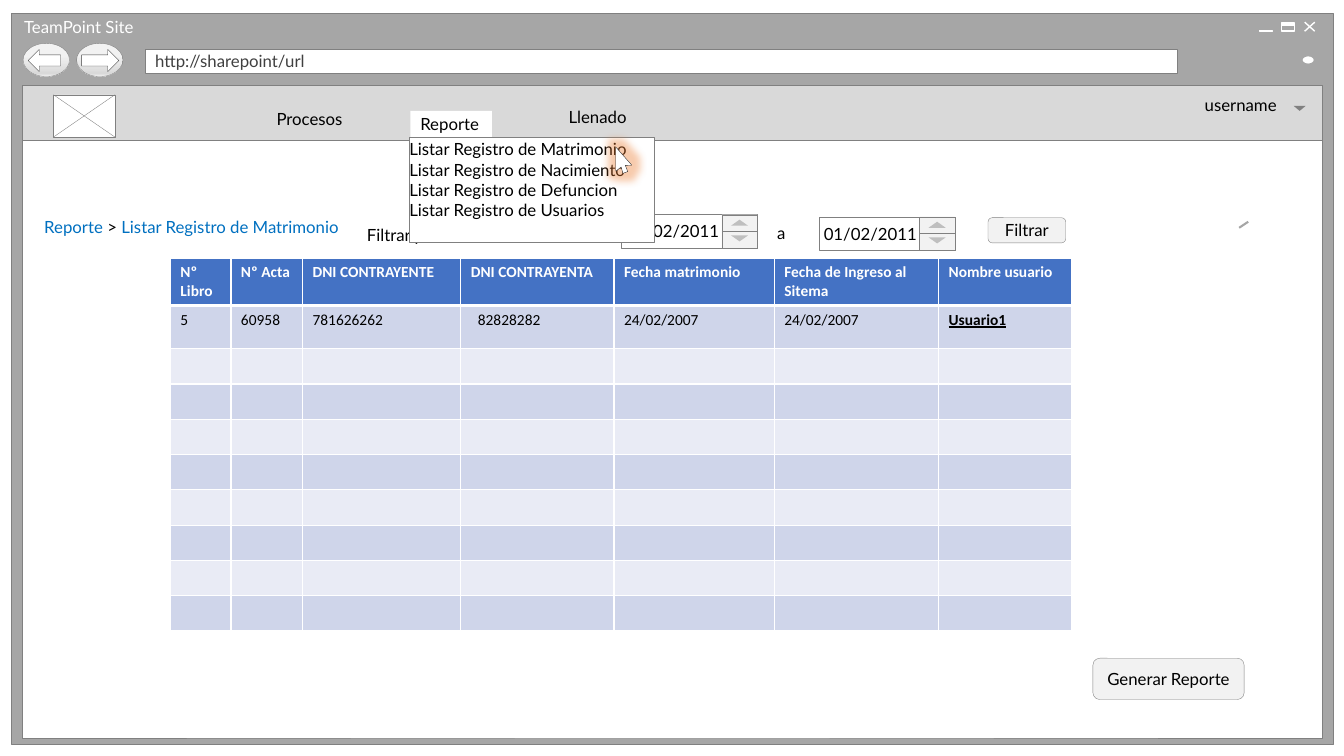
from dataclasses import dataclass

from lxml import etree
from pptx import Presentation
from pptx.dml.color import RGBColor
from pptx.enum.shapes import MSO_CONNECTOR, MSO_SHAPE
from pptx.enum.text import MSO_ANCHOR, PP_ALIGN
from pptx.oxml.ns import qn
from pptx.util import Inches, Pt

RECT, ROUNDED, OVAL = MSO_SHAPE.RECTANGLE, MSO_SHAPE.ROUNDED_RECTANGLE, MSO_SHAPE.OVAL
TRIANGLE = MSO_SHAPE.ISOSCELES_TRIANGLE
LEFT_ARROW, RIGHT_ARROW = MSO_SHAPE.LEFT_ARROW, MSO_SHAPE.RIGHT_ARROW
STRAIGHT = MSO_CONNECTOR.STRAIGHT
TOP, MIDDLE = MSO_ANCHOR.TOP, MSO_ANCHOR.MIDDLE
LEFT, CENTER = PP_ALIGN.LEFT, PP_ALIGN.CENTER
LABEL_INSETS = (1, 0.2, 1, 0.3)
FIELD_INSETS = (0.5, 0.5, 2, 0.5)
BUTTON_INSETS = (1, 0, 1, 0.1)
MENU_INSETS = (0, 0.2, 0.5, 0.5)


@dataclass(frozen=True)
class Theme:
    font: str = "Lato"
    table_font: str = "Calibri"
    size: float = 12
    table_size: float = 11
    hairline: float = 0.25
    ink: str = "000000"
    white: str = "FFFFFF"
    frame: str = "A6A6A6"
    edge: str = "808080"
    dark_edge: str = "404040"
    cursor_edge: str = "262626"
    bar: str = "D9D9D9"
    control: str = "F2F2F2"
    spinner: str = "BFBFBF"
    caption: str = "919191"
    link: str = "0070C0"
    glow: str = "ED7D31"
    header: str = "4472C4"
    bands: tuple = ("CFD5EA", "E9EBF5")


def color(value):
    return RGBColor.from_string(value)


def grid(units):
    """Ten grid columns or rows to the inch."""
    return Inches(units / 10)


def add_color(parent, value, alpha=100):
    node = etree.SubElement(parent, qn("a:srgbClr"), val=value)
    if alpha < 100:
        etree.SubElement(node, qn("a:alpha"), val=str(alpha * 1000))


class Mockup:
    def __init__(self, slide, theme):
        self.slide, self.theme = slide, theme

    def paint(self, shape, fill, line, weight):
        shape.shadow.inherit = False
        if fill:
            shape.fill.solid()
            shape.fill.fore_color.rgb = color(fill)
        else:
            shape.fill.background()
        if line:
            shape.line.color.rgb = color(line)
            shape.line.width = Pt(weight)
        else:
            shape.line.fill.background()

    def shape(self, kind, at, fill=None, line=None, weight=None, rotation=0):
        shape = self.slide.shapes.add_shape(kind, *map(grid, at))
        self.paint(shape, fill, line, weight or self.theme.hairline)
        shape.rotation = rotation
        return shape

    def add_text(self, box, paragraphs, insets=LABEL_INSETS, anchor=MIDDLE, align=LEFT):
        """Each paragraph is a list of (text, colour) runs."""
        frame = box.text_frame
        frame.word_wrap, frame.vertical_anchor = True, anchor
        (frame.margin_left, frame.margin_top,
         frame.margin_right, frame.margin_bottom) = map(grid, insets)
        for index, spans in enumerate(paragraphs):
            para = frame.add_paragraph() if index else frame.paragraphs[0]
            para.alignment = align
            for text, ink in spans:
                self.span(para, text, ink, self.theme.font, self.theme.size)

    def span(self, para, text, ink, font, size):
        span = para.add_run()
        span.text = text
        span.font.name, span.font.size = font, Pt(size)
        span.font.color.rgb = color(ink)
        return span

    def label(self, at, *spans, **layout):
        box = self.slide.shapes.add_textbox(*map(grid, at))
        self.add_text(box, [spans], **layout)

    def line(self, start, end, ink, weight):
        line = self.slide.shapes.add_connector(STRAIGHT, *map(grid, start + end))
        line.line.color.rgb, line.line.width = color(ink), Pt(weight)
        etree.SubElement(line.element.spPr, qn("a:effectLst"))

    def cross(self, left, top, width, height, ink, weight):
        right, bottom = left + width, top + height
        self.line((left, top), (right, bottom), ink, weight)
        self.line((left, bottom), (right, top), ink, weight)

    def round_button(self, left, arrow, arrow_at):
        theme = self.theme
        button = self.shape(OVAL, (left, 4.3, 4.6, 3.3), theme.bar, theme.edge)
        button.fill.gradient()
        button.fill.gradient_angle = 270
        stops = button.element.spPr.find(".//" + qn("a:gsLst"))
        for stop in list(stops):
            stops.remove(stop)
        for share, ink in ((36, theme.control), (91, theme.bar), (100, theme.control)):
            add_color(etree.SubElement(stops, qn("a:gs"), pos=str(share * 1000)), ink)
        self.shape(arrow, arrow_at, theme.white, theme.dark_edge)

    def button(self, at, text):
        box = self.shape(ROUNDED, at, self.theme.control, self.theme.edge)
        self.add_text(box, [[(text, self.theme.ink)]], BUTTON_INSETS, align=CENTER)

    def date_field(self, left, top, date):
        theme = self.theme
        box = self.shape(RECT, (left, top, 13.5, 3.3), theme.white, theme.edge)
        self.add_text(box, [[(date, theme.ink)]], FIELD_INSETS)
        for drop, tip, rotation in ((1.65, 0.4, 180), (0, 0.5, 0)):
            self.shape(RECT, (left + 10, top + drop, 3.5, 1.65), theme.control, theme.edge)
            self.shape(TRIANGLE, (left + 10.9, top + drop + tip, 1.7, 0.6),
                       theme.spinner, rotation=rotation)

    def cursor(self, left, top):
        outline = [(0.85, 0), (0, 2.25), (0.65, 2.05), (0.6, 2.7),
                   (1.1, 2.7), (1.1, 2.05), (1.7, 2.25)]
        points = [(grid(left + x), grid(top + y)) for x, y in outline]
        builder = self.slide.shapes.build_freeform(*points[0])
        builder.add_line_segments(points[1:])
        pointer = builder.convert_to_shape()
        self.paint(pointer, self.theme.white, self.theme.cursor_edge, self.theme.hairline)
        pointer.rotation = 339.3
        effects = pointer.element.spPr.find(qn("a:effectLst"))
        glow = etree.SubElement(effects, qn("a:glow"), rad=str(Pt(11)))
        add_color(glow, self.theme.glow, 40)

    def table(self, at, widths, heights, rows):
        theme = self.theme
        table = self.slide.shapes.add_table(len(heights), len(widths), *map(grid, at)).table
        for column, width in zip(table.columns, widths):
            column.width = grid(width)
        for index, (row, height) in enumerate(zip(table.rows, heights)):
            row.height = grid(height)
            texts = rows[index] if index < len(rows) else [""] * len(widths)
            for cell, text in zip(row.cells, texts):
                for side in "LRTB":
                    weight = 3 if index == 0 and side == "B" else 1
                    border = etree.SubElement(cell._tc.get_or_add_tcPr(), qn("a:ln" + side),
                                              w=str(Pt(weight)))
                    add_color(etree.SubElement(border, qn("a:solidFill")), theme.white)
                cell.fill.solid()
                cell.fill.fore_color.rgb = color(theme.bands[(index - 1) % 2] if index
                                                 else theme.header)
                para = cell.text_frame.paragraphs[0]
                if text:
                    span = self.span(para, text, theme.ink if index else theme.white,
                                     theme.table_font, theme.table_size)
                    span.font.bold = index == 0
                else:
                    etree.SubElement(para._p, qn("a:endParaRPr"),
                                     sz=str(int(theme.table_size * 100)))
        return table


def main():
    deck = Presentation()
    deck.slide_width, deck.slide_height = Inches(13.33), Inches(7.5)
    theme = Theme()
    page = Mockup(deck.slides.add_slide(deck.slide_layouts[6]), theme)

    # Browser window
    page.shape(RECT, (1.1, 1.3, 131.1, 72.5), theme.frame, theme.edge)
    page.label((1.4, 1.5, 17.2, 2.4), ("TeamPoint Site", theme.white))
    address = page.shape(RECT, (14.4, 4.9, 102.4, 2.4), theme.white, theme.edge)
    page.add_text(address, [[("http://sharepoint/url", theme.dark_edge)]])
    page.round_button(2.3, LEFT_ARROW, (2.8, 4.9, 3.2, 2.2))
    page.round_button(7.6, RIGHT_ARROW, (8.1, 4.9, 3.7, 2.2))
    page.cross(129.4, 2.2, 1, 0.9, theme.white, 1)
    for left, top in ((127.1, 2.4), (124.9, 3)):
        page.shape(RECT, (left, top, 1.3, 0.1), theme.caption, theme.white)
    page.shape(RECT, (127.1, 2.3, 1.3, 0.8), line=theme.white, weight=1)
    page.shape(RECT, (2.2, 9, 128.9, 64.2), theme.white, theme.edge)
    page.shape(OVAL, (129.1, 5.5, 1.3, 0.9), theme.white, theme.frame, 1.25)

    # Navigation bar
    page.shape(RECT, (2.2, 8.5, 128.9, 5.4), theme.bar, theme.edge)
    page.label((24.5, 10.6, 12.9, 2.7), ("Procesos", theme.ink),
               insets=MENU_INSETS, anchor=TOP, align=CENTER)
    report_tab = page.shape(RECT, (40.7, 11, 8.1, 2.6), theme.white)
    page.add_text(report_tab, [[("Reporte", theme.ink)]])
    page.label((118.5, 9.2, 12.2, 2.4), ("username", theme.ink))
    page.shape(TRIANGLE, (128.3, 10.5, 1.2, 0.5), theme.edge, rotation=180)
    page.label((3.4, 21.2, 31.9, 2.7), ("Reporte ", theme.link), ("> ", theme.ink),
               ("Listar Registro de Matrimonio", theme.link))
    page.line((122.9, 22.6), (123.8, 22), theme.frame, 1.5)
    page.shape(RECT, (5.3, 9.4, 6.1, 4.2), theme.white, theme.edge)
    page.cross(5.3, 9.4, 6.1, 4.2, theme.edge, theme.hairline)
    page.label((55.4, 10.4, 8.1, 2.5), ("Llenado", theme.ink))

    # Records and filter
    records = page.table(
        (16.9, 25.6, 89.4, 37), (6, 7.1, 15.7, 15.2, 15.9, 16.3, 13.2), [4.7, 4.3] + [3.5] * 8,
        [["Nº Libro", "Nº Acta", "DNI CONTRAYENTE", "DNI CONTRAYENTA", "Fecha matrimonio",
          "Fecha de Ingreso al Sitema", "Nombre usuario"],
         ["5", "60958", "781626262", "82828282", "24/02/2007", "24/02/2007", "Usuario1"]])
    records.cell(1, 3).margin_left = grid(1.7)
    user_font = records.cell(1, 6).text_frame.paragraphs[0].runs[0].font
    user_font.bold = user_font.underline = True
    page.date_field(61.6, 21.3, "01/02/2011")
    page.label((35.4, 22.1, 25.1, 2.5), ("Filtrar por fecha de matrimonio", theme.ink))
    page.label((76.1, 21.9, 3.4, 2.5), ("a", theme.ink))
    page.date_field(81.2, 21.5, "01/02/2011")
    page.button((98, 21.6, 7.7, 2.5), "Filtrar")

    # Open menu
    menu = page.shape(RECT, (40.6, 13.6, 24.3, 10.4), theme.white, theme.edge)
    page.add_text(menu, [[("Listar Registro de " + record, theme.ink)] for record in
                         ("Matrimonio", "Nacimiento", "Defuncion", "Usuarios")], MENU_INSETS, TOP)
    page.cursor(60.7, 14.5)
    page.button((108.4, 65.3, 15, 4.1), "Generar Reporte")
    deck.save("out.pptx")


if __name__ == "__main__":
    main()
